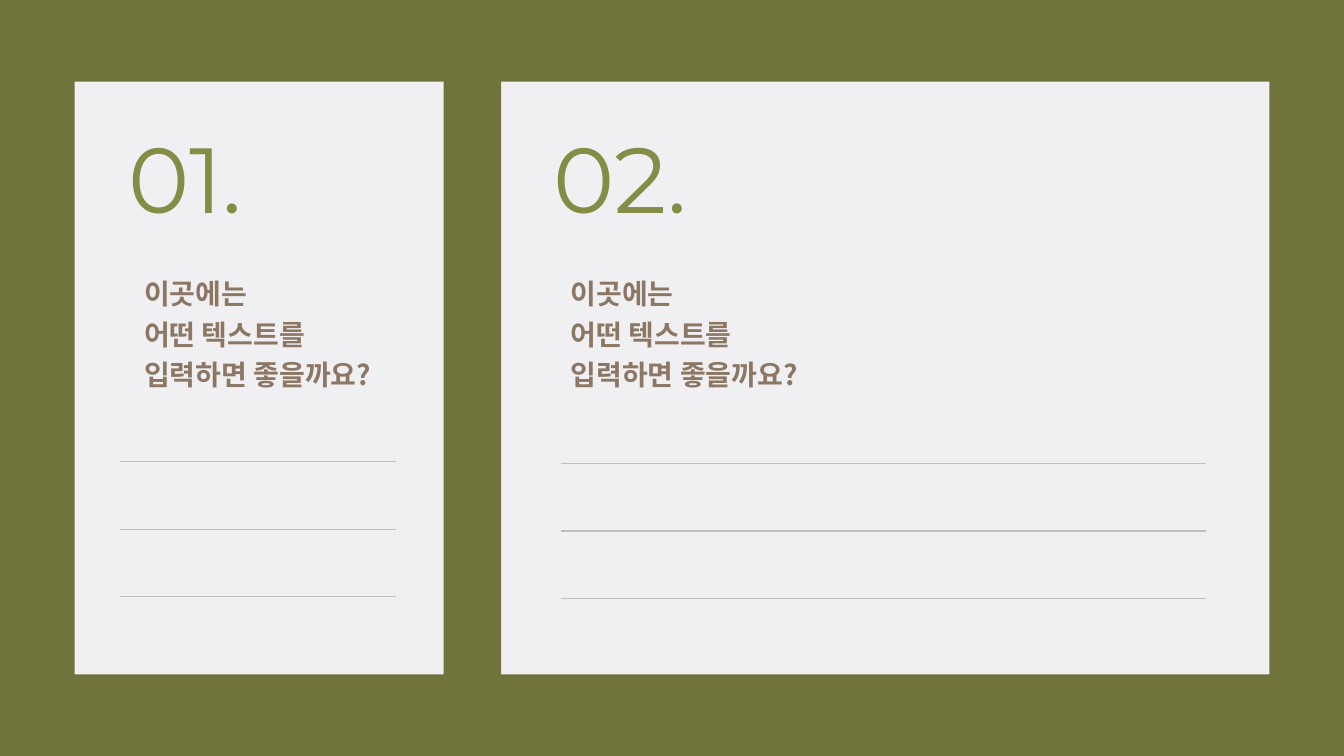
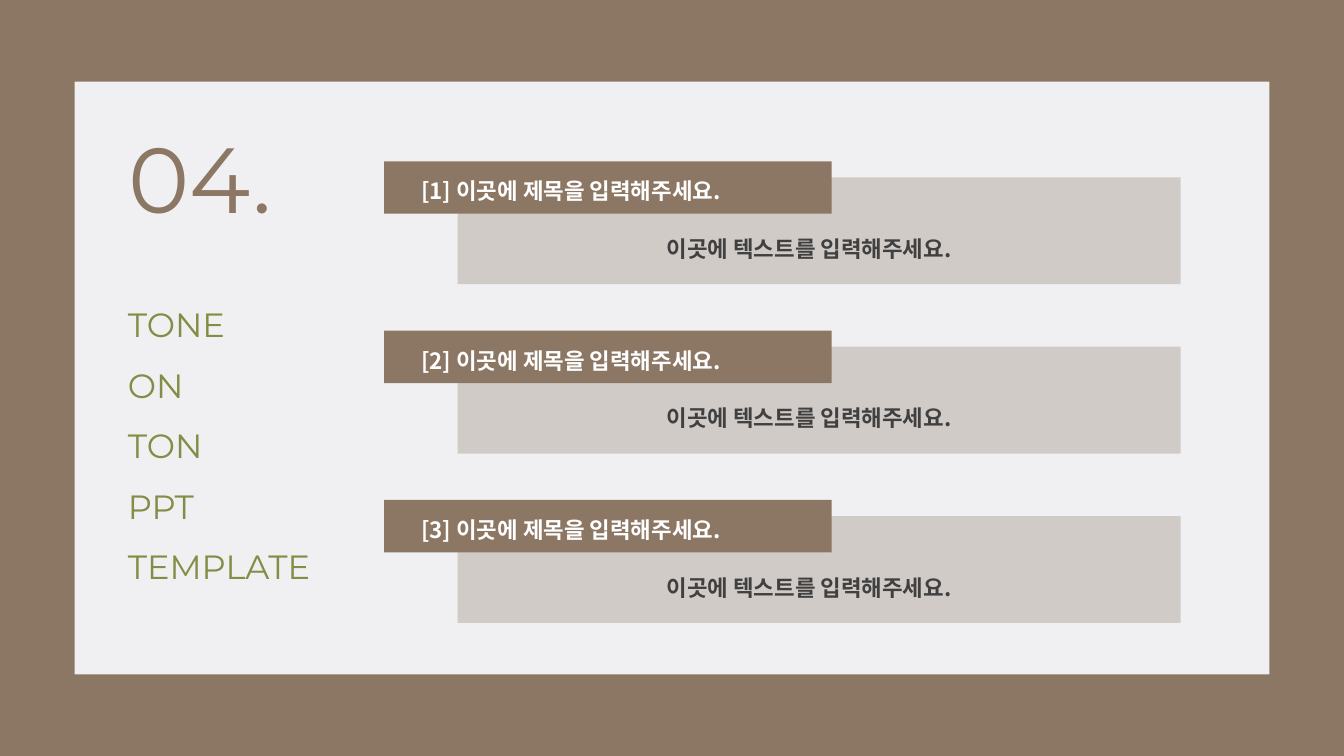
from lxml import etree
from pptx import Presentation
from pptx.dml.color import RGBColor
from pptx.enum.shapes import MSO_CONNECTOR, MSO_SHAPE
from pptx.enum.text import MSO_ANCHOR, MSO_AUTO_SIZE, PP_ALIGN
from pptx.oxml.ns import qn
from pptx.util import Inches, Pt

RECT = MSO_SHAPE.RECTANGLE
STRAIGHT = MSO_CONNECTOR.STRAIGHT
TOP = MSO_ANCHOR.TOP
GROW = MSO_AUTO_SIZE.SHAPE_TO_FIT_TEXT
LEFT, CENTER = PP_ALIGN.LEFT, PP_ALIGN.CENTER

OLIVE, GREEN, BROWN = "71733D", "848C45", "8C7764"
PAPER, RULE, DARK, WHITE = "F0F0F2", "BFBFBF", "404040", "FFFFFF"
LATIN, KOREAN = "Montserrat", "Noto Sans CJK KR"
TITLE_BOX = (1.17, 1.28, 1.71, 1.1)
PROMPT = "이곳에는\n어떤 텍스트를\n입력하면 좋을까요?"


def paint(fill, color):
    fill.solid()
    fill.fore_color.rgb = RGBColor.from_string(color)


def add_rect(slide, box, color, alpha=None):
    shape = slide.shapes.add_shape(RECT, *map(Inches, box))
    shape.shadow.inherit = False
    shape.line.fill.background()
    paint(shape.fill, color)
    if alpha:
        tint = shape.fill._xPr.find(".//" + qn("a:srgbClr"))
        etree.SubElement(tint, qn("a:alpha"), val=str(alpha * 1000))


def style_text(shape, text, size, color, font, space, bold=False, align=LEFT):
    frame = shape.text_frame
    frame.text = text
    frame.word_wrap = True
    frame.auto_size = GROW
    frame.vertical_anchor = TOP
    for para in frame.paragraphs:
        para.alignment = align
        para.line_spacing = space
        for run in para.runs:
            run.font.size = Pt(size)
            run.font.bold = bold
            run.font.name = font
            paint(run.font.fill, color)
            props = run.font._element
            etree.SubElement(props, qn("a:ea"), typeface=font)


def add_text(slide, box, text, size, color, font, space, bold=False, align=LEFT):
    shape = slide.shapes.add_textbox(*map(Inches, box))
    style_text(shape, text, size, color, font, space, bold, align)


def add_title(slide, text, color):
    title = slide.shapes.title
    title.left, title.top, title.width, title.height = map(Inches, TITLE_BOX)
    style_text(title, text, 66, color, LATIN, 0.9)
    title.element.getparent().append(title.element)


def add_rules(slide, left, right, top):
    for row in range(3):
        y = Inches(top + row * 0.67)
        line = slide.shapes.add_connector(STRAIGHT, Inches(left), y, Inches(right), y)
        line.line.width = Pt(1)
        paint(line.line.fill, RULE)
        etree.SubElement(line.element.spPr, qn("a:effectLst"))


def add_slide(deck, color):
    slide = deck.slides.add_slide(deck.slide_layouts[5])
    paint(slide.background.fill, color)
    add_rect(slide, (0.74, 0.81, 11.85, 5.88), PAPER)
    return slide


def add_item(slide, num, top):
    add_rect(slide, (3.81, top, 4.44, 0.52), BROWN)
    add_rect(slide, (4.54, top + 0.16, 7.17, 1.06), BROWN, 30)
    add_text(slide, (4.71, top + 0.55, 6.63, 0.5), "이곳에 텍스트를 입력해주세요.",
             16, DARK, KOREAN, 1.5, True, CENTER)
    add_text(slide, (4.08, top - 0.02, 3.74, 0.5), f"[{num}] 이곳에 제목을 입력해주세요.",
             16, WHITE, KOREAN, 1.5, True)


def build_notes(deck):
    slide = add_slide(deck, OLIVE)
    add_rect(slide, (4.4, 0, 0.57, 7.5), OLIVE)
    add_title(slide, "01.", GREEN)
    add_text(slide, (5.39, *TITLE_BOX[1:]), "02.", 66, GREEN, LATIN, 0.9)
    for left in (1.33, 5.56):
        add_text(slide, (left, 2.63, 2.48, 1.31), PROMPT, 20, BROWN, KOREAN, 1.2, True)
    add_rules(slide, 1.19, 3.93, 4.58)
    add_rules(slide, 5.56, 11.96, 4.6)


def build_list(deck):
    slide = add_slide(deck, BROWN)
    add_title(slide, "04.", BROWN)
    for row in range(3):
        add_item(slide, row + 1, 1.6 + row * 1.68)
    add_text(slide, (1.17, 2.77, 2.21, 3.13), "TONE\nON\nTON\nPPT\vTEMPLATE",
             24, GREEN, LATIN, 1.5)


def main():
    deck = Presentation()
    deck.slide_width = Inches(13.33)
    deck.slide_height = Inches(7.5)
    build_notes(deck)
    build_list(deck)
    deck.save("out.pptx")


if __name__ == "__main__":
    main()
